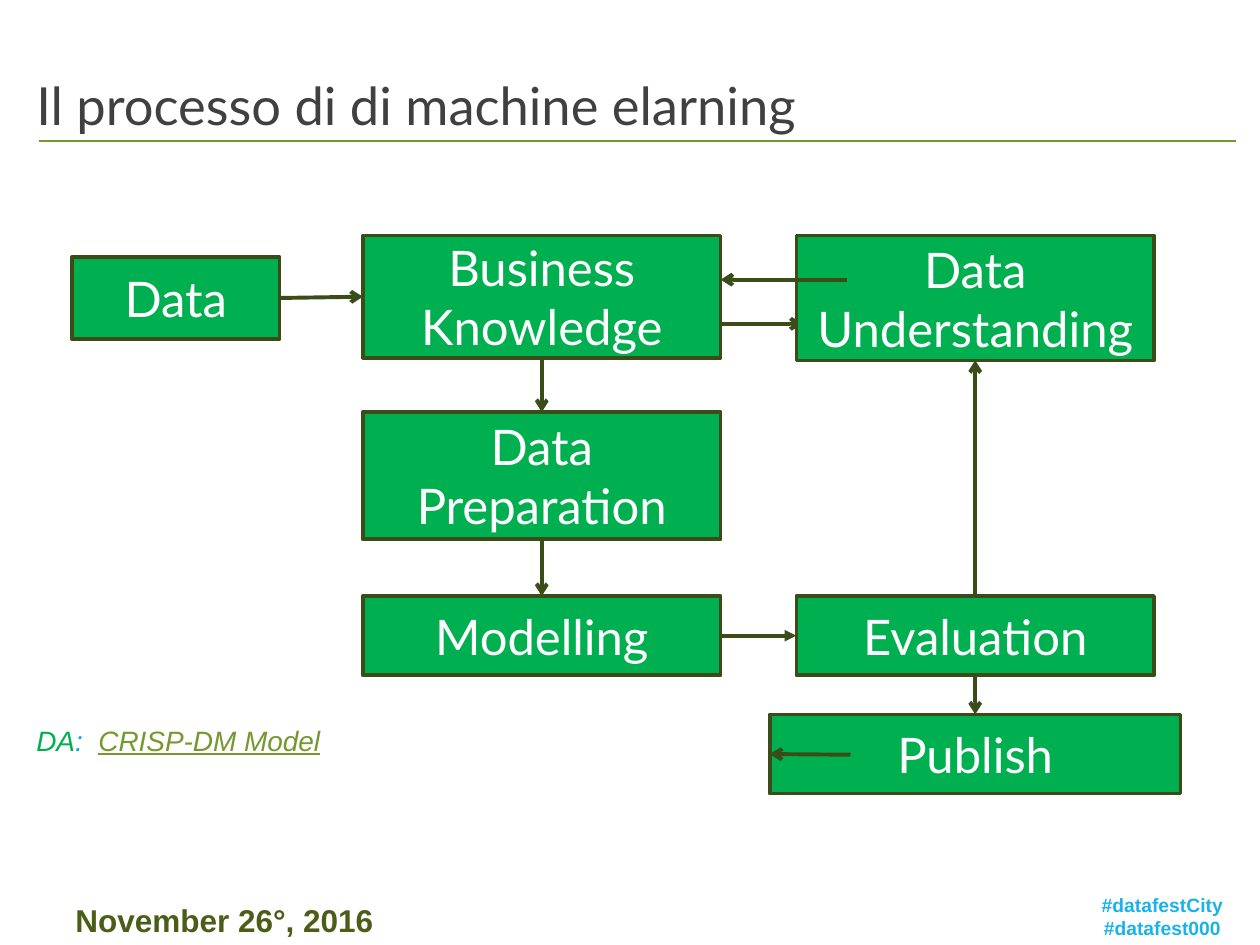
from typing import NamedTuple, Optional

from lxml import etree
from pptx import Presentation
from pptx.dml.color import RGBColor
from pptx.enum import shapes, text
from pptx.oxml.ns import qn
from pptx.util import Inches, Pt

COLORS = {
    "title": "404040", "rule": "75982F", "box": "00B050", "edge": "3A4C18",
    "white": "FFFFFF", "hashtag": "1AB2E8", "date": "4A5E18", "colon": "00A4EF",
}
TOP, LEFT, BOTTOM, RIGHT = range(4)
MIDDLE = text.MSO_ANCHOR.MIDDLE
CENTER = text.PP_ALIGN.CENTER


class Step(NamedTuple):
    label: str
    left: float
    top: float
    width: float
    height: float


class Flow(NamedTuple):
    """An arrow; a side with no step name stays at its free point."""
    start: tuple[float, float] = (0, 0)
    end: tuple[float, float] = (0, 0)
    source: Optional[tuple[str, int]] = None
    target: Optional[tuple[str, int]] = None
    head: str = "arrow"
    kind: shapes.MSO_CONNECTOR = shapes.MSO_CONNECTOR.STRAIGHT


MID_COLUMN, RIGHT_COLUMN, COLUMN_WIDTH = 2.88, 6.32, 2.84
STEPS = [
    Step("Business Knowledge", MID_COLUMN, 1.87, COLUMN_WIDTH, 0.97),
    Step("Data Preparation", MID_COLUMN, 3.27, COLUMN_WIDTH, 1.01),
    Step("Modelling", MID_COLUMN, 4.73, COLUMN_WIDTH, 0.63),
    Step("Evaluation", RIGHT_COLUMN, 4.73, COLUMN_WIDTH, 0.63),
    Step("Data Understanding", RIGHT_COLUMN, 1.87, COLUMN_WIDTH, 0.99),
    Step("Data", 0.57, 2.04, 1.65, 0.65),
    Step("Publish", 6.11, 5.67, 3.26, 0.63),
]
FLOW_BEHIND_BOXES = Flow((5.36, 2.57), (6.37, 2.57))
FLOWS = [
    Flow(source=("Data", RIGHT), target=("Business Knowledge", LEFT)),
    Flow(source=("Business Knowledge", BOTTOM), target=("Data Preparation", TOP)),
    Flow(start=(6.75, 5.99), target=("Publish", LEFT)),
    Flow(source=("Data Preparation", BOTTOM), target=("Modelling", TOP)),
    Flow(source=("Evaluation", BOTTOM), target=("Publish", TOP)),
    Flow(source=("Modelling", RIGHT), target=("Evaluation", LEFT),
         head="triangle", kind=shapes.MSO_CONNECTOR.ELBOW),
    Flow((6.72, 2.22), (5.72, 2.22)),
    Flow(source=("Evaluation", TOP), target=("Data Understanding", BOTTOM)),
]


def color(name: str) -> RGBColor:
    return RGBColor.from_string(COLORS[name])


def add_run(paragraph, wording: str, *, size: float, fill: str, font: str = "Arial",
            bold: bool = False, italic: bool = False, underline: bool = False) -> None:
    run = paragraph.add_run()
    run.text = wording
    run.font.name, run.font.size = font, Pt(size)
    run.font.bold, run.font.italic, run.font.underline = bold, italic, underline
    run.font.color.rgb = color(fill)


def add_text(slide, box: tuple[float, ...], *lines: str, align=None,
             anchor=text.MSO_ANCHOR.TOP, wrap: bool = True, **style):
    """Add a text box with one paragraph a line and return its text frame."""
    frame = slide.shapes.add_textbox(*map(Inches, box)).text_frame
    frame.word_wrap, frame.vertical_anchor = wrap, anchor
    for number, line in enumerate(lines):
        paragraph = frame.add_paragraph() if number else frame.paragraphs[0]
        paragraph.alignment = align
        add_run(paragraph, line, **style)
    return frame


def add_line(slide, start, end, *, stroke: str, width: float,
             kind=shapes.MSO_CONNECTOR.STRAIGHT, head: Optional[str] = None):
    line = slide.shapes.add_connector(kind, *map(Inches, (*start, *end)))
    line.line.color.rgb, line.line.width = color(stroke), Pt(width)
    if head:
        etree.SubElement(line.line._get_or_add_ln(), qn("a:tailEnd"), type=head)
    etree.SubElement(line._element.spPr, qn("a:effectLst"))
    return line


def add_step(slide, step: Step):
    box = slide.shapes.add_shape(shapes.MSO_SHAPE.RECTANGLE, *map(Inches, step[1:]))
    box.shadow.inherit = False
    box.fill.solid()
    box.fill.fore_color.rgb = color("box")
    box.line.color.rgb, box.line.width = color("edge"), Pt(2)
    frame = box.text_frame
    frame.word_wrap, frame.vertical_anchor = True, MIDDLE
    frame.paragraphs[0].alignment = CENTER
    add_run(frame.paragraphs[0], step.label, size=28, fill="white", font="Lato")
    return box


def add_flow(slide, flow: Flow, boxes: dict) -> None:
    arrow = add_line(slide, flow.start, flow.end, stroke="edge", width=2.25,
                     kind=flow.kind, head=flow.head)
    if flow.source:
        arrow.begin_connect(boxes[flow.source[0]], flow.source[1])
    if flow.target:
        arrow.end_connect(boxes[flow.target[0]], flow.target[1])


def main() -> None:
    deck = Presentation()
    deck.slide_width, deck.slide_height = Inches(10), Inches(7.5)
    slide = deck.slides.add_slide(deck.slide_layouts[6])

    add_text(slide, (8.3, 7.04, 1.85, 0.47), "#datafestCity", "#datafest000",
             align=CENTER, size=11, fill="hashtag", bold=True)
    add_text(slide, (0.5, 7.1, 2.59, 0.4), "November 26°, 2016",
             wrap=False, size=18, fill="date", bold=True)
    add_line(slide, (0.31, 1.12), (9.81, 1.12), stroke="rule", width=1)
    add_text(slide, (0.19, 0.17, 9.62, 1.32), "Il processo di di machine elarning",
             anchor=MIDDLE, size=30, fill="title", font="Lato")

    add_flow(slide, FLOW_BEHIND_BOXES, {})
    boxes = {step.label: add_step(slide, step) for step in STEPS}
    for flow in FLOWS:
        add_flow(slide, flow, boxes)

    credit = add_text(slide, (0.19, 5.69, 3.62, 0.37), "DA",
                      size=16, fill="box", italic=True).paragraphs[0]
    add_run(credit, ":  ", size=16, fill="colon", italic=True)
    add_run(credit, "CRISP-DM Model", size=16, fill="rule", italic=True, underline=True)

    deck.save("out.pptx")


if __name__ == "__main__":
    main()
